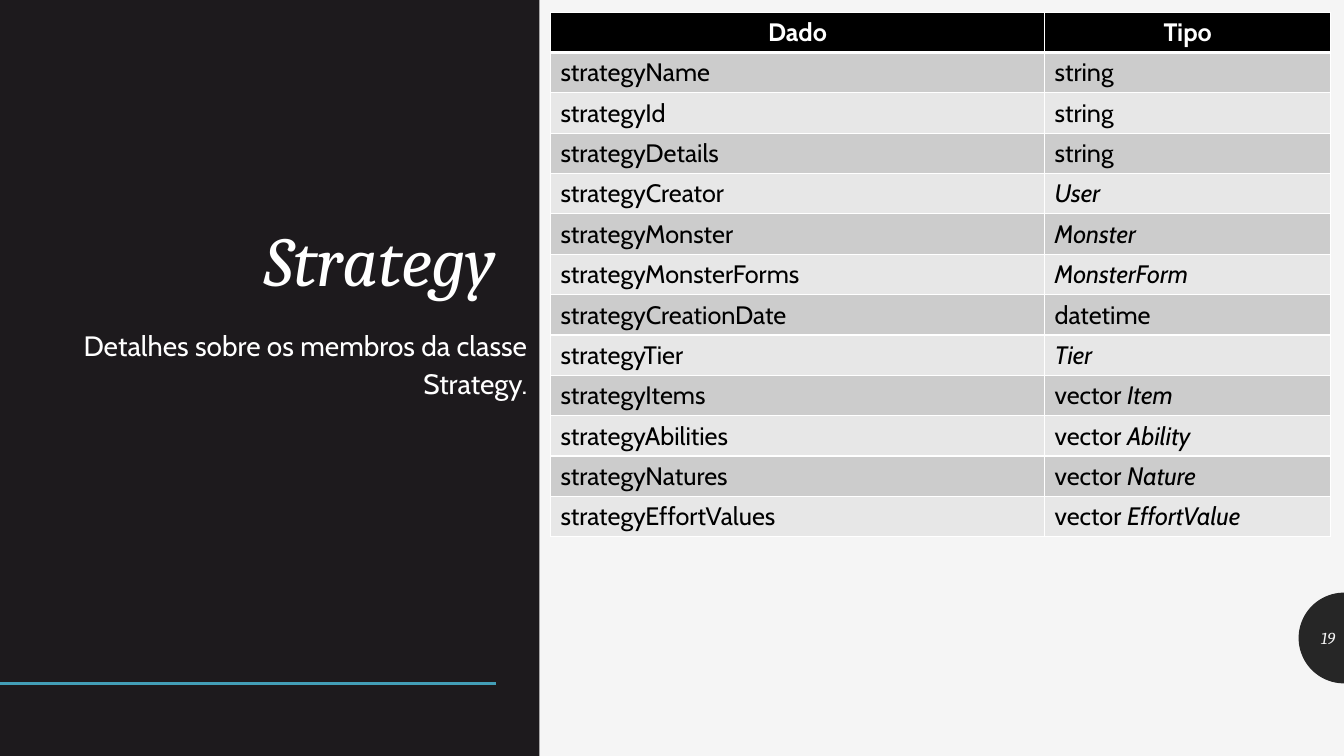
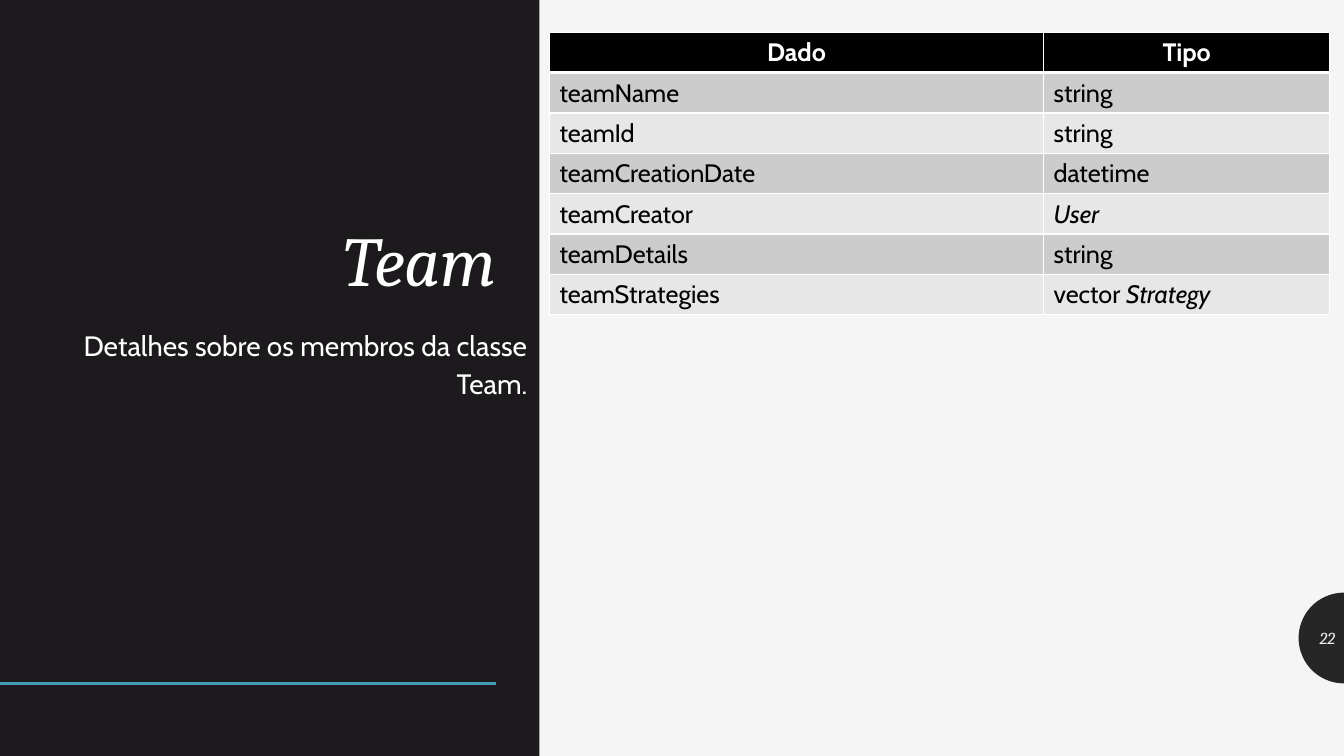
from dataclasses import dataclass
from math import cos, pi, sin

from lxml.etree import SubElement
from pptx import Presentation
from pptx.dml.color import RGBColor
from pptx.enum.shapes import MSO_CONNECTOR, MSO_SHAPE
from pptx.enum.text import MSO_ANCHOR, PP_ALIGN
from pptx.oxml import parse_xml
from pptx.oxml.ns import nsdecls, qn
from pptx.util import Inches, Pt

COLORS = {
    "page": "F5F5F5",
    "panel": "1D1A1D",
    "badge": "262626",
    "accent": "439EB7",
    "white": "FFFFFF",
    "black": "000000",
    "odd": "CCCCCC",
    "even": "E7E7E7",
}
HEAD_FONT, BODY_FONT = "Cambria", "Cabin"
WIDTH, HEIGHT = 13.33, 7.5


@dataclass
class Member:
    name: str
    plain: str = ""
    slanted: str = ""


@dataclass
class Topic:
    title: str
    number: str
    left: float
    table_left: float
    table_top: float
    members: list[Member]


TOPICS = [
    Topic("Strategy", "19", 0.83, 5.46, 0.12, [
        Member("strategyName", "string"),
        Member("strategyId", "string"),
        Member("strategyDetails", "string"),
        Member("strategyCreator", slanted="User"),
        Member("strategyMonster", slanted="Monster"),
        Member("strategyMonsterForms", slanted="MonsterForm"),
        Member("strategyCreationDate", "datetime"),
        Member("strategyTier", slanted="Tier"),
        Member("strategyItems", "vector ", "Item"),
        Member("strategyAbilities", "vector ", "Ability"),
        Member("strategyNatures", "vector ", "Nature"),
        Member("strategyEffortValues", "vector ", "EffortValue"),
    ]),
    Topic("Team", "22", 0.31, 5.45, 0.32, [
        Member("teamName", "string"),
        Member("teamId", "string"),
        Member("teamCreationDate", "datetime"),
        Member("teamCreator", slanted="User"),
        Member("teamDetails", "string"),
        Member("teamStrategies", "vector ", "Strategy"),
    ]),
]


def color(name: str) -> RGBColor:
    return RGBColor.from_string(COLORS[name])


def write(para, text: str, *, size: float = 18, font: str = BODY_FONT,
          ink: str = "black", bold: bool = False, italic: bool = False,
          align=None, line=None, before=None) -> None:
    run = para.add_run()
    run.text = text
    run.font.size = Pt(size)
    run.font.name = font
    run.font.bold = bold
    run.font.italic = italic
    run.font.color.rgb = color(ink)
    if align is not None:
        para.alignment = align
    if line is not None:
        para.line_spacing = line
    if before is not None:
        para.space_before = Pt(before)


def add_text(slide, box: tuple, text: str, anchor=MSO_ANCHOR.TOP, **style) -> None:
    frame = slide.shapes.add_textbox(*map(Inches, box)).text_frame
    frame.word_wrap = True
    frame.vertical_anchor = anchor
    write(frame.paragraphs[0], text, align=PP_ALIGN.RIGHT, **style)


def paint(shape, fill: str) -> None:
    shape.shadow.inherit = False
    shape.fill.solid()
    shape.fill.fore_color.rgb = color(fill)
    shape.line.fill.background()


def add_badge(slide) -> None:
    radius, middle, steps = 0.45, 6.33, 48
    points = [
        (Inches(WIDTH - radius * sin(pi * step / steps)),
         Inches(middle - radius * cos(pi * step / steps)))
        for step in range(steps + 1)
    ]
    maker = slide.shapes.build_freeform(*points[0], scale=1.0)
    maker.add_line_segments(points[1:], close=True)
    paint(maker.convert_to_shape(), "badge")


def add_frame(slide) -> None:
    slide.background.fill.solid()
    slide.background.fill.fore_color.rgb = color("page")
    add_badge(slide)
    panel = slide.shapes.add_shape(
        MSO_SHAPE.RECTANGLE, 0, 0, Inches(5.35), Inches(HEIGHT))
    paint(panel, "panel")
    rule = slide.shapes.add_connector(
        MSO_CONNECTOR.STRAIGHT, 0, Inches(6.78), Inches(4.92), Inches(6.78))
    rule.line.color.rgb = color("accent")
    rule.line.width = Pt(2)
    SubElement(rule._element.spPr, qn("a:effectLst"))


def style_cell(cell, fill: str, top: float = 1, bottom: float = 1) -> None:
    cell.fill.solid()
    cell.fill.fore_color.rgb = color(fill)
    props = cell._tc.get_or_add_tcPr()
    sides = {"L": 1, "R": 1, "T": top, "B": bottom}
    for index, (side, width) in enumerate(sides.items()):
        props.insert(index, parse_xml(
            f'<a:ln{side} {nsdecls("a")} w="{Pt(width)}"><a:solidFill>'
            f'<a:srgbClr val="{COLORS["white"]}"/></a:solidFill></a:ln{side}>'))


def add_grid(slide, topic: Topic) -> None:
    widths, head, step = (4.9, 2.84), 0.33, 0.4
    count = len(topic.members)
    table = slide.shapes.add_table(
        count + 1, len(widths), Inches(topic.table_left), Inches(topic.table_top),
        Inches(sum(widths)), Inches(head + step * count)).table
    table.horz_banding = False
    for column, width in zip(table.columns, widths):
        column.width = Inches(width)
    for index, row in enumerate(table.rows):
        row.height = Inches(step if index else head)
    for index, label in enumerate(("Dado", "Tipo")):
        cell = table.cell(0, index)
        style_cell(cell, "black", bottom=3)
        write(cell.text_frame.paragraphs[0], label, ink="white", bold=True,
              align=PP_ALIGN.CENTER)
    for index, member in enumerate(topic.members, 1):
        name, kind = table.cell(index, 0), table.cell(index, 1)
        for cell in (name, kind):
            style_cell(cell, "odd" if index % 2 else "even",
                       top=3 if index == 1 else 1)
        write(name.text_frame.paragraphs[0], member.name)
        para = kind.text_frame.paragraphs[0]
        if member.plain:
            write(para, member.plain)
        if member.slanted:
            write(para, member.slanted, italic=True)


def add_topic(deck, topic: Topic) -> None:
    slide = deck.slides.add_slide(deck.slide_layouts[6])
    add_frame(slide)
    add_text(slide, (topic.left, 0.61, 5.02 - topic.left, 2.43), topic.title,
             MSO_ANCHOR.BOTTOM, size=50, font=HEAD_FONT, ink="white",
             italic=True, line=0.9)
    add_text(slide, (12.89, 6.13, 0.45, 0.4), topic.number, MSO_ANCHOR.MIDDLE,
             size=12, font=HEAD_FONT, ink="page", italic=True)
    add_text(slide, (0, 3.17, 5.33, 3.12),
             f"Detalhes sobre os membros da classe {topic.title}.",
             size=20, ink="white", line=1.12, before=9)
    add_grid(slide, topic)


deck = Presentation()
deck.slide_width, deck.slide_height = Inches(WIDTH), Inches(HEIGHT)
for topic in TOPICS:
    add_topic(deck, topic)
deck.save("out.pptx")
